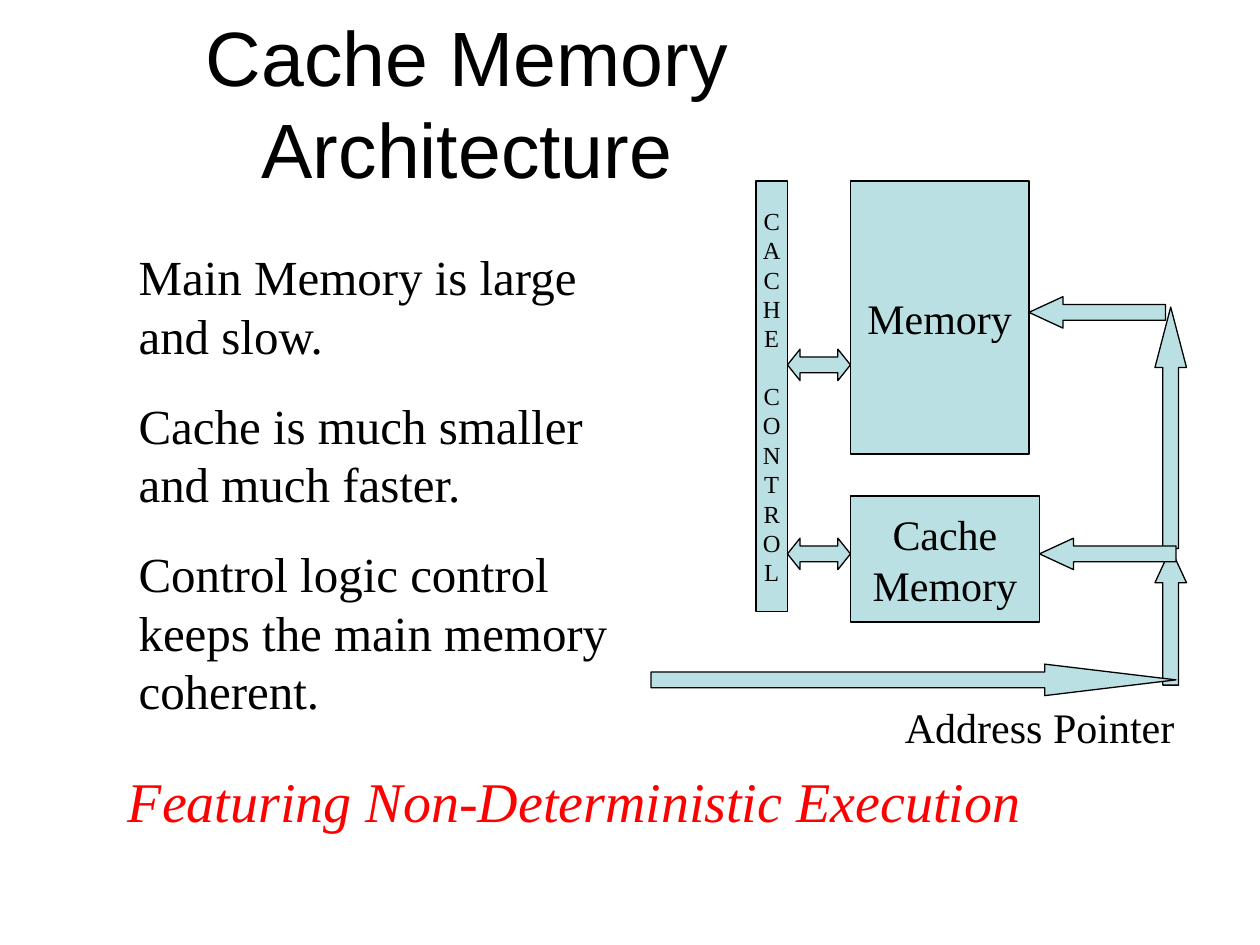
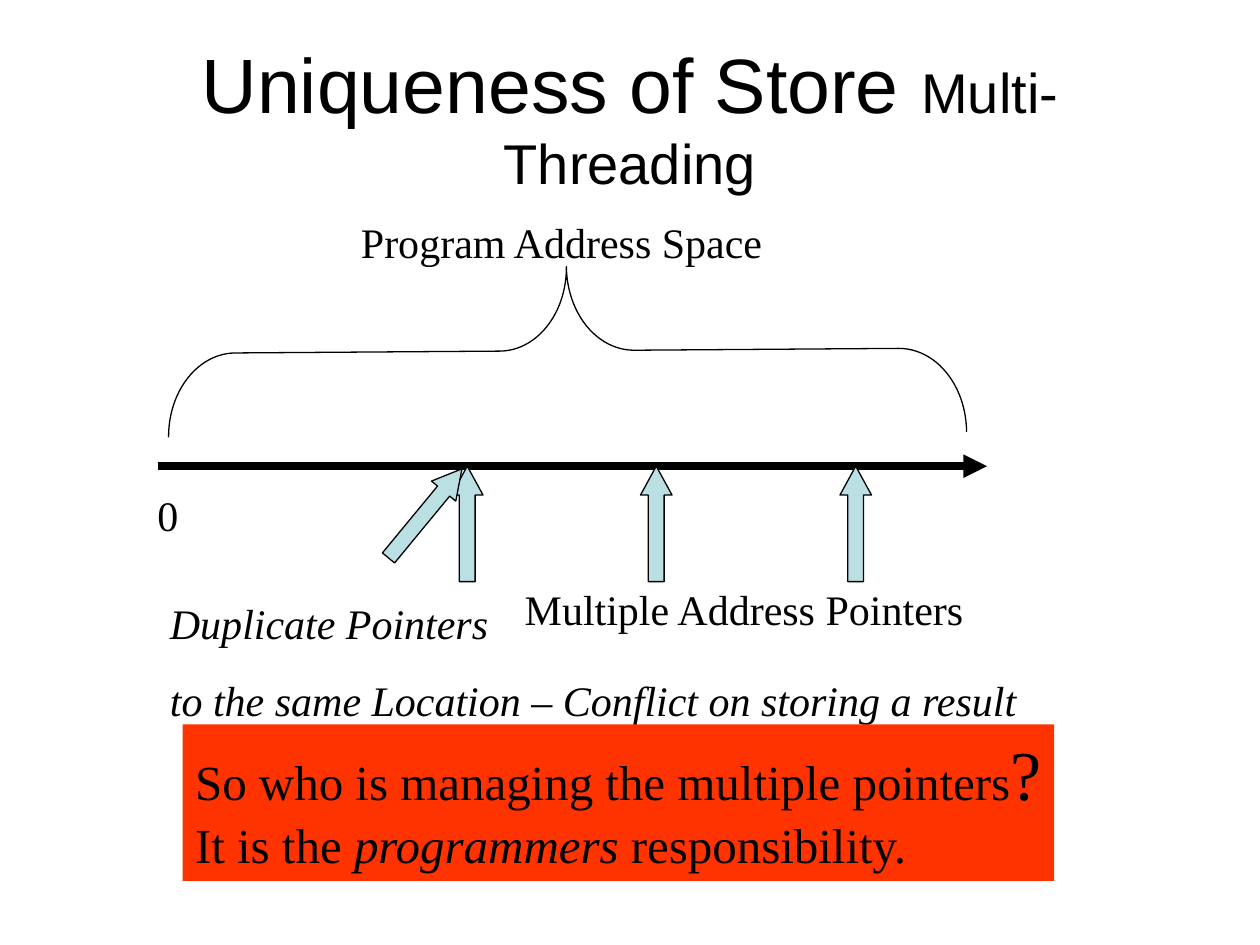
"""Build two slides on cache memory and on the uniqueness of store."""
from dataclasses import dataclass

from pptx import Presentation
from pptx.dml.color import RGBColor
from pptx.enum.shapes import MSO_CONNECTOR, MSO_SHAPE
from pptx.enum.text import MSO_ANCHOR, MSO_AUTO_SIZE, PP_ALIGN
from pptx.oxml.ns import qn
from pptx.util import Inches, Pt


@dataclass(frozen=True)
class Theme:
    ink: RGBColor = RGBColor(0, 0, 0)
    pale: RGBColor = RGBColor(0xBB, 0xE0, 0xE3)
    alert: RGBColor = RGBColor(0xFF, 0x33, 0)
    accent: RGBColor = RGBColor(0xFF, 0, 0)
    head: str = "Arial"
    text: str = "Times New Roman"
    title: int = 44
    mark: int = 40
    sub: int = 32
    body: int = 28
    label: int = 24
    letter: int = 14
    thin: float = 0.75
    thick: float = 4.5


T = Theme()
COLS, ROWS = 120, 90
WIDTH, HEIGHT = 10, 7.5
ARROW = 3
AXIS = 44.4
MID, TOP = MSO_ANCHOR.MIDDLE, MSO_ANCHOR.TOP
UP, LEFT, RIGHT, BOTH = (MSO_SHAPE.UP_ARROW, MSO_SHAPE.LEFT_ARROW,
                         MSO_SHAPE.RIGHT_ARROW, MSO_SHAPE.LEFT_RIGHT_ARROW)

CACHE_TITLE = ["Cache Memory\nArchitecture"]
CACHE_POINTS = ["Main Memory is large and slow.",
                "Cache is much smaller and much faster.",
                "Control logic control keeps the main memory coherent."]
CONTROL = ["CACHE", "CONTROL"]
BLOCKS = [(["Memory"], (81, 17.25, 17, 26)),
          (["Cache", "Memory"], (81, 47.25, 18, 12))]
CACHE_ARROWS = [(UP, 110, 52.25, 13), (RIGHT, 62, 63.25, 50),
                (UP, 110, 29.25, 23), (LEFT, 98, 28.25, 13),
                (LEFT, 99, 51.25, 13), (BOTH, 75, 33.25, 6),
                (BOTH, 75, 51.25, 6)]

STORE_TITLE = [["Uniqueness of Store ", ("Multi-Threading", {"size": T.sub})]]
STORE_LABELS = [(["Program Address Space"], (33.2, 20, 40.8, 6)),
                (["Multiple Address Pointers"], (48.8, 55, 44.4, 6)),
                (["0"], (13.8, 46, 4.3, 6))]
CONFLICT = ["Duplicate Pointers",
            "to the same Location – Conflict on storing a result"]
QUESTION = [["So who is managing the multiple pointers", ("?", {"size": T.mark})],
            ["It is the ", ("programmers", {"italic": True}), " responsibility."]]
POINTERS = [43, 61, 80]


def grid(x, y, w, h):
    ux, uy = WIDTH / COLS, HEIGHT / ROWS
    return Inches(x * ux), Inches(y * uy), Inches(w * ux), Inches(h * uy)


def write(tf, paras, size=T.label, font=T.text, color=T.ink, italic=False,
          align=PP_ALIGN.LEFT, anchor=TOP, before=0, wrap=True, gaps=None):
    tf.auto_size = MSO_AUTO_SIZE.NONE
    tf.word_wrap, tf.vertical_anchor = wrap, anchor
    for i, runs in enumerate(paras):
        p = tf.add_paragraph() if i else tf.paragraphs[0]
        p.alignment = align
        p.space_before = Pt((gaps or {}).get(i, before) if i else 0)
        for run in [runs] if isinstance(runs, str) else runs:
            text, fmt = (run, {}) if isinstance(run, str) else run
            for n, line in enumerate(text.split("\n")):
                if n:
                    p.add_line_break()
                r = p.add_run()
                r.text = line
                r.font.name, r.font.size = font, Pt(fmt.get("size", size))
                r.font.color.rgb = color
                r.font.italic = fmt.get("italic", italic)


def place(ph, box):
    ph.left, ph.top, ph.width, ph.height = grid(*box)
    return ph.text_frame


def add_slide(prs, layout, title, box):
    s = prs.slides.add_slide(prs.slide_layouts[layout])
    write(place(s.shapes.title, box), title, size=T.title, font=T.head,
          align=PP_ALIGN.CENTER, anchor=MID)
    return s


def add_text(s, paras, box, **fmt):
    write(s.shapes.add_textbox(*grid(*box)).text_frame, paras, **fmt)


def add_shape(s, kind, box, fill=T.pale, line=True):
    sp = s.shapes.add_shape(kind, *grid(*box))
    sp.shadow.inherit = False
    if fill is None:
        sp.fill.background()
    else:
        sp.fill.solid()
        sp.fill.fore_color.rgb = fill
    if line:
        sp.line.color.rgb, sp.line.width = T.ink, Pt(T.thin)
    else:
        sp.line.fill.background()
    return sp


def add_block(s, paras, box, **fmt):
    sp = add_shape(s, MSO_SHAPE.RECTANGLE, box)
    write(sp.text_frame, paras, align=PP_ALIGN.CENTER, anchor=MID, wrap=False, **fmt)


def add_arrow(s, kind, x, y, length, turn=0):
    size = (ARROW, length) if kind == UP else (length, ARROW)
    sp = add_shape(s, kind, (x, y, *size))
    sp.adjustments[0] = 0.5
    sp.adjustments[1] = length / ARROW / (5 if kind == BOTH else 4)
    sp.rotation = turn


def add_axis(s, x1, x2, y):
    left, top, width, _ = grid(x1, y, x2 - x1, 0)
    c = s.shapes.add_connector(MSO_CONNECTOR.STRAIGHT, left, top, left + width, top)
    c.line.color.rgb, c.line.width = T.ink, Pt(T.thick)
    ln = c.line._get_or_add_ln()
    ln.append(ln.makeelement(qn("a:tailEnd"), {"type": "triangle"}))
    props = c._element.spPr
    props.append(props.makeelement(qn("a:effectLst"), {}))


def cache_slide(prs):
    s = add_slide(prs, 1, CACHE_TITLE, (9, 0.25, 71, 18.85))
    tf = place(s.placeholders[1], (12, 22.9, 49, 46.3))
    write(tf, CACHE_POINTS, size=T.body, before=17.5)
    for p in tf.paragraphs:
        pPr = p._p.get_or_add_pPr()
        pPr.set("marL", "0")
        pPr.set("indent", "0")
        pPr.append(pPr.makeelement(qn("a:buNone"), {}))
    for paras, box in BLOCKS:
        add_block(s, paras, box)
    add_block(s, list("".join(CONTROL)), (72, 17.25, 3, 41), size=T.letter,
              gaps={len(CONTROL[0]): T.letter * 1.15})
    for arrow in CACHE_ARROWS:
        add_arrow(s, *arrow)
    add_text(s, ["Address Pointer"], (85, 66.25, 28.1, 6), wrap=False)
    add_text(s, ["Featuring Non-Deterministic Execution"], (11, 72.4, 104, 7.7),
             size=T.sub, color=T.accent, italic=True)


def store_slide(prs):
    s = add_slide(prs, 5, STORE_TITLE, (6, 4.5, 108, 13.1))
    add_axis(s, 15, 94, AXIS)
    for x in POINTERS:
        add_arrow(s, UP, x, AXIS, 11)
    add_arrow(s, UP, 39, AXIS - 1, 11, turn=39.5)
    brace = add_shape(s, MSO_SHAPE.LEFT_BRACE, (46, -4.6, 16, 76), fill=None)
    brace.adjustments[0], brace.rotation = 0.4, 89.6
    for paras, box in STORE_LABELS:
        add_text(s, paras, box, wrap=False)
    add_text(s, CONFLICT, (15, 56.3, 87, 13.3), italic=True, before=15)
    sp = add_shape(s, MSO_SHAPE.RECTANGLE, (17.4, 69, 83, 14.9), T.alert, line=False)
    write(sp.text_frame, QUESTION, size=T.body, wrap=False)


def main():
    prs = Presentation()
    prs.slide_width, prs.slide_height = Inches(WIDTH), Inches(HEIGHT)
    cache_slide(prs)
    store_slide(prs)
    prs.save("out.pptx")


if __name__ == "__main__":
    main()
